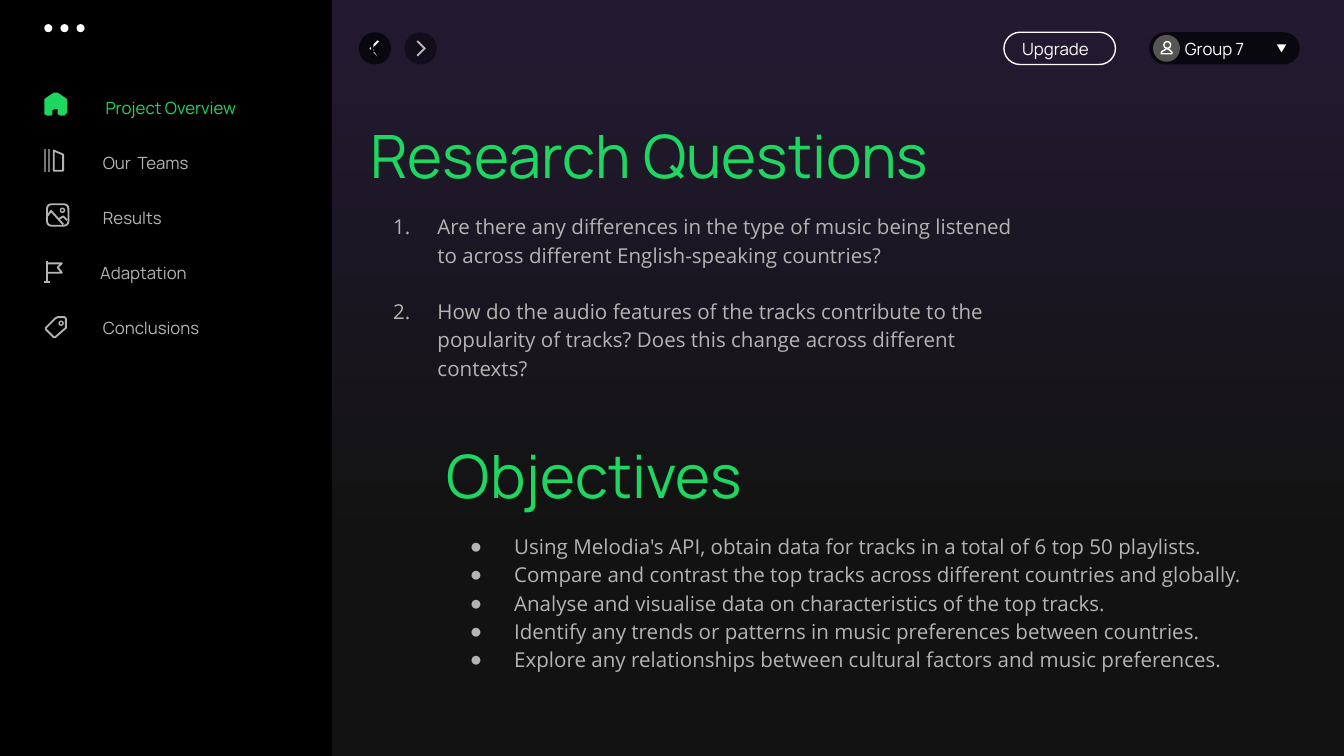
from dataclasses import dataclass
from math import cos, pi, sin

from lxml import etree
from pptx import Presentation
from pptx.dml.color import RGBColor
from pptx.enum import shapes, text
from pptx.oxml import ns
from pptx.util import Inches, Pt


@dataclass(frozen=True)
class Theme:
    """Colours, fonts and type sizes."""
    accent: str = "1ED760"
    muted: str = "B4B5B2"
    white: str = "FFFFFF"
    black: str = "000000"
    sky: str = "231A32"
    ground: str = "121212"
    pill: str = "0A080F"
    next_disc: str = "120D1A"
    avatar: str = "555554"
    display: str = "Manrope"
    reading: str = "Open Sans"
    label: int = 9
    body: int = 11
    heading: int = 32


@dataclass(frozen=True)
class Box:
    """A rectangle in inches."""
    left: float
    top: float
    width: float
    height: float

    def inner(self, left, top, width, height):
        """Return a box placed relative to this one's corner."""
        return Box(self.left + left, self.top + top, width, height)

    def lengths(self):
        """Return the four sides as lengths."""
        return [Inches(side) for side in (self.left, self.top, self.width, self.height)]


THEME = Theme()
KIND = shapes.MSO_SHAPE


def paint(shape, fill=None, line=None, weight=0.75):
    """Set fill and line, or switch them off, and drop the shadow."""
    shape.shadow.inherit = False
    if fill:
        shape.fill.solid()
        shape.fill.fore_color.rgb = RGBColor.from_string(fill)
    else:
        shape.fill.background()
    if line:
        shape.line.color.rgb = RGBColor.from_string(line)
        shape.line.width = Pt(weight)
    else:
        shape.line.fill.background()
    return shape


def add_preset(page, kind, box, **style):
    """Add a painted preset shape."""
    return paint(page.shapes.add_shape(kind, *box.lengths()), **style)


def add_outline(page, box, points, close=False, **style):
    """Draw points, in hundredths of an inch from the box corner."""
    builder = page.shapes.build_freeform(*points[0], scale=Inches(0.01))
    builder.add_line_segments(points[1:], close=close)
    return paint(builder.convert_to_shape(*box.lengths()[:2]), **style)


def style_paragraph(para, font, size, color):
    """Format a whole paragraph."""
    para.alignment = text.PP_ALIGN.LEFT
    para.font.name, para.font.size, para.font.bold = font, Pt(size), False
    para.font.color.rgb = RGBColor.from_string(color)


def prepare_frame(frame):
    """Give a text frame its insets, wrapping and top anchor."""
    frame.word_wrap = True
    frame.auto_size = text.MSO_AUTO_SIZE.NONE
    frame.vertical_anchor = text.MSO_ANCHOR.TOP
    frame.margin_left = frame.margin_right = Pt(5.4)
    frame.margin_top = frame.margin_bottom = Pt(2.7)


def add_label(page, box, words, color):
    """Add a small interface label."""
    frame = page.shapes.add_textbox(*box.lengths()).text_frame
    prepare_frame(frame)
    frame.text = words
    style_paragraph(frame.paragraphs[0], THEME.display, THEME.label, color)


def draw_home(page, box, color):
    """Draw a solid house with a doorway."""
    add_outline(page, box, [(0, 5), (1, 4), (7, 0.3), (8.5, 0), (10, 0.3), (16, 4), (17, 5),
                            (17, 15), (16.5, 16.5), (15, 17), (12, 17), (10.5, 16),
                            (10.5, 13), (9.5, 11.5), (7.5, 11.5), (6.5, 13), (6.5, 16),
                            (5, 17), (2, 17), (0.5, 16.5), (0, 15)], close=True, fill=color)


def draw_books(page, box, color):
    """Draw two spines and a leaning book."""
    for left in (0, 0.03):
        add_preset(page, KIND.RECTANGLE, box.inner(left, 0, 0.01, 0.17), fill=color)
    add_outline(page, box, [(7, 0.7), (13.5, 4.2), (13.5, 16.5), (7, 16.5)],
                close=True, line=color, weight=1)


def draw_photo(page, box, color):
    """Draw a framed landscape."""
    frame = add_preset(page, KIND.ROUNDED_RECTANGLE, box.inner(0.01, 0.01, 0.16, 0.16),
                       line=color, weight=1)
    frame.adjustments[0] = 0.2
    add_preset(page, KIND.OVAL, box.inner(0.11, 0.04, 0.03, 0.03), line=color)
    for ridge in ([(1, 9.5), (4.5, 6.5), (13, 16)], [(10.3, 12), (13, 9.5), (16.5, 13)]):
        add_outline(page, box, ridge, line=color, weight=1)


def draw_flag(page, box, color):
    """Draw a flag on a pole."""
    for stroke in ([(1.7, 0), (1.7, 16.5)], [(0, 16.5), (4, 16.5)],
                   [(1.7, 1.5), (13, 1.5), (10.5, 5), (13, 9), (1.7, 9)]):
        add_outline(page, box, stroke, line=color, weight=1)


def draw_tag(page, box, color):
    """Draw a price tag with its hole."""
    add_outline(page, box, [(8.5, 1.7), (10, 0.8), (15, 0.8), (16.5, 2), (16.5, 7), (15.5, 9),
                            (8.5, 16), (7, 16), (0.8, 10.5), (0.8, 9.3)],
                close=True, line=color, weight=1)
    add_preset(page, KIND.OVAL, box.inner(0.11, 0.04, 0.03, 0.03), line=color)


def add_sidebar(page, box):
    """Build the black side panel with window dots and menu."""
    add_preset(page, KIND.RECTANGLE, box, fill=THEME.black)
    for dot in range(3):
        add_preset(page, KIND.OVAL, box.inner(0.33 + 0.12 * dot, 0.18, 0.06, 0.06),
                   fill=THEME.white)
    menu = [("Project Overview", 0.71, draw_home, 0.33, 0),
            ("Our  Teams", 0.69, draw_books, 0.33, 0.01),
            ("Results", 0.69, draw_photo, 0.34, 0),
            ("Adaptation", 0.67, draw_flag, 0.33, 0.02),
            ("Conclusions", 0.69, draw_tag, 0.33, 0.02)]
    for row, (words, left, draw_icon, icon_left, drop) in enumerate(menu):
        color = THEME.muted if row else THEME.accent
        top = 0.69 + 0.41 * row
        draw_icon(page, box.inner(icon_left, top + drop, 0.17, 0.17), color)
        add_label(page, box.inner(left, top, 1.75, 0.23), words, color)


def add_arrow_button(page, box, fill, color, forward):
    """Build a round button with a chevron and return the chevron."""
    add_preset(page, KIND.OVAL, box, fill=fill)
    points = [(1, 12), (7, 6), (1, 0), (0, 1), (5, 6), (0, 11)]
    if not forward:
        points = [(7 - across, down) for across, down in points]
    corner = box.inner(0.09 if forward else 0.08, 0.06, 0.07, 0.12)
    return add_outline(page, corner, points, close=True, fill=color)


def add_toolbar(page, box):
    """Build the arrows, the upgrade button and the account pill."""
    back = add_arrow_button(page, box.inner(0, 0, 0.24, 0.24), THEME.pill, THEME.white, False)
    prepare_frame(back.text_frame)
    back.text_frame.word_wrap = False
    back.text_frame.vertical_anchor = text.MSO_ANCHOR.MIDDLE
    back.text_frame.text = "k"
    style_paragraph(back.text_frame.paragraphs[0], "Calibri", 14, THEME.black)
    add_arrow_button(page, box.inner(0.34, 0, 0.24, 0.24), THEME.next_disc, THEME.muted, True)

    for left, width, style in ((4.8, 0.83, {"line": THEME.white}),
                               (5.88, 1.12, {"fill": THEME.pill})):
        pill = add_preset(page, KIND.ROUNDED_RECTANGLE, box.inner(left, 0, width, 0.24), **style)
        pill.adjustments[0] = 0.5
    add_label(page, box.inner(4.86, 0.01, 0.71, 0.23), "Upgrade", THEME.white)
    add_label(page, box.inner(6.07, 0.01, 0.75, 0.23), "Group 7", THEME.white)

    avatar = box.inner(5.91, 0.02, 0.2, 0.2)
    add_preset(page, KIND.OVAL, avatar, fill=THEME.avatar)
    add_preset(page, KIND.OVAL, avatar.inner(0.08, 0.05, 0.05, 0.05), line=THEME.white)
    shoulders = [(10.2 - 4.2 * cos(pi * step / 8), 14.5 - 4 * sin(pi * step / 8))
                 for step in range(9)]
    add_outline(page, avatar, shoulders, close=True, line=THEME.white)
    arrow = add_preset(page, KIND.ISOSCELES_TRIANGLE, box.inner(6.83, 0.09, 0.07, 0.06),
                       fill=THEME.white)
    arrow.rotation = 180


def set_bullet(para, tag, **attributes):
    """Give a paragraph a hanging bullet or number."""
    properties = para._p.get_or_add_pPr()
    properties.set("marL", str(Inches(0.5)))
    properties.set("indent", str(Inches(-0.33)))
    etree.SubElement(properties, ns.qn(tag), attributes)


def add_section(box, heading, body, title, items, bullet, gap=0):
    """Fill a heading and list placeholder inside the box."""
    for holder, part in ((heading, box.inner(0, 0, 5.06, 0.61)),
                         (body, box.inner(0, 0.68, box.width, box.height - 0.68))):
        holder.left, holder.top, holder.width, holder.height = part.lengths()
        prepare_frame(holder.text_frame)
    heading.text_frame.text = title
    para = heading.text_frame.paragraphs[0]
    para.space_before = Pt(0)
    style_paragraph(para, THEME.display, THEME.heading, THEME.accent)
    body.text_frame.text = "\n".join(items)
    for para in body.text_frame.paragraphs:
        para.line_spacing, para.space_before, para.space_after = 1.15, Pt(0), Pt(gap)
        set_bullet(para, bullet[0], **bullet[1])
        style_paragraph(para, THEME.reading, THEME.body, THEME.muted)


def build_page(deck):
    """Build the research questions page."""
    page = deck.slides.add_slide(deck.slide_layouts.get_by_name("Comparison"))
    backdrop = page.background.fill
    backdrop.gradient()
    backdrop.gradient_angle = 270
    for stop, color, position in zip(backdrop.gradient_stops, (THEME.sky, THEME.ground), (0, 0.73)):
        stop.color.rgb, stop.position = RGBColor.from_string(color), position

    title, spare, questions, heading, objectives = page.placeholders
    spare.element.getparent().remove(spare.element)
    add_sidebar(page, Box(0, 0, 2.47, deck.slide_height / Inches(1)))
    add_toolbar(page, Box(2.67, 0.24, 7, 0.24))
    add_section(Box(2.68, 0.85, 5.06, 2.02), title, questions, "Research Questions", [
        "Are there any differences in the type of music being listened to across different "
        "English-speaking countries?",
        "How do the audio features of the tracks contribute to the popularity of tracks? "
        "Does this change across different contexts?",
    ], ("a:buAutoNum", {"type": "arabicPeriod"}), gap=15)
    add_section(Box(3.25, 3.23, 7.03, 1.79), heading, objectives, "Objectives", [
        "Using Melodia's API, obtain data for tracks in a total of 6 top 50 playlists.",
        "Compare and contrast the top tracks across different countries and globally.",
        "Analyse and visualise data on characteristics of the top tracks.",
        "Identify any trends or patterns in music preferences between countries.",
        "Explore any relationships between cultural factors and music preferences.",
    ], ("a:buChar", {"char": "●"}))


deck = Presentation()
deck.slide_width = Inches(10)
deck.slide_height = deck.slide_width * 9 // 16
build_page(deck)
deck.save("out.pptx")
